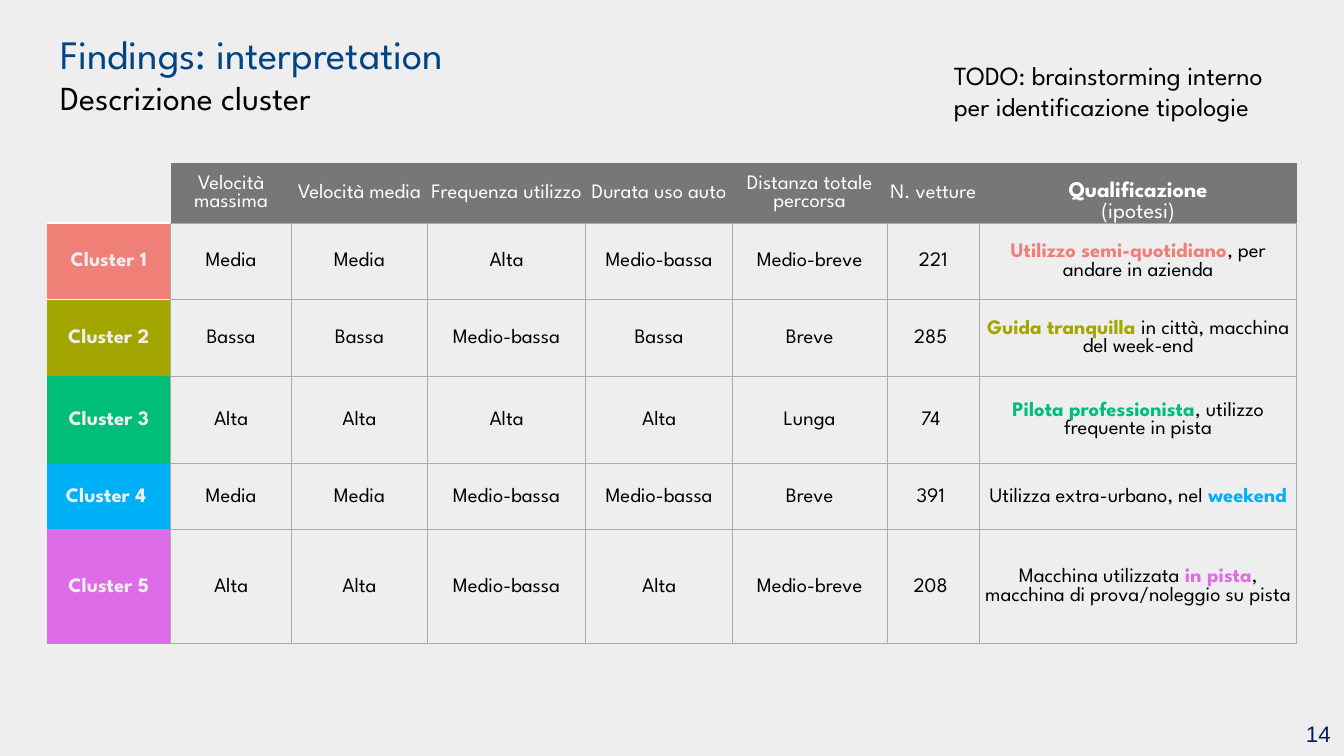
from pptx import Presentation
from pptx.dml.color import RGBColor
from pptx.enum.text import MSO_ANCHOR, PP_ALIGN
from pptx.oxml.ns import qn
from pptx.util import Inches, Pt
from lxml import etree

TOP, MIDDLE, BOTTOM = MSO_ANCHOR.TOP, MSO_ANCHOR.MIDDLE, MSO_ANCHOR.BOTTOM
LEFT, CENTER, RIGHT = PP_ALIGN.LEFT, PP_ALIGN.CENTER, PP_ALIGN.RIGHT
BLACK = RGBColor(0x00, 0x00, 0x00)
WHITE = RGBColor(0xFF, 0xFF, 0xFF)
PAPER = RGBColor(0xEE, 0xEE, 0xEE)
HEADER = RGBColor(0x77, 0x77, 0x77)
RULE = RGBColor(0xAE, 0xAA, 0xAA)
BLUE = RGBColor(0x00, 0x44, 0x85)
NAVY = RGBColor(0x00, 0x20, 0x60)
CORAL = RGBColor(0xF0, 0x7F, 0x78)
OLIVE = RGBColor(0xA4, 0xA6, 0x00)
GREEN = RGBColor(0x00, 0xBE, 0x7A)
SKY = RGBColor(0x00, 0xB0, 0xF6)
ORCHID = RGBColor(0xDE, 0x6C, 0xE8)
NO_STYLE = "{2D5ABB26-0587-4C30-8999-92F81FD0307C}"
NBSP = chr(160)

COLS = [0.92, 0.9, 1.01, 1.18, 1.09, 1.15, 0.69, 2.36]
ROWS = [0.45, 0.57, 0.57, 0.65, 0.49, 0.85]
HEADINGS = ["Velocità massima", "Velocità media", "Frequenza utilizzo",
            "Durata uso auto", "Distanza totale percorsa", "N. vetture"]
CLUSTERS = [
    ("Cluster 1", CORAL, ["Media", "Media", "Alta", "Medio-bassa", "Medio-breve", "221"],
     ("", "Utilizzo semi-quotidiano", ", per andare in azienda")),
    ("Cluster 2", OLIVE, ["Bassa", "Bassa", "Medio-bassa", "Bassa", "Breve", "285 "],
     ("", "Guida tranquilla ", "in città, macchina del week-end")),
    ("Cluster 3", GREEN, ["Alta", "Alta", "Alta", "Alta", "Lunga", "74 "],
     ("", "Pilota professionista", ", utilizzo frequente in pista")),
    ("Cluster 4 ", SKY, ["Media", "Media", "Medio-bassa", "Medio-bassa", "Breve", "391 "],
     ("Utilizza extra-urbano, nel ", "weekend", "")),
    ("Cluster 5", ORCHID, ["Alta", "Alta", "Medio-bassa", "Alta", "Medio-breve", "208 "],
     ("Macchina utilizzata ", "in pista", ", macchina di prova/noleggio su pista")),
]


class Deck:
    font = "League Spartan"

    def __init__(self):
        self.prs = Presentation()
        self.prs.slide_width = Inches(10)
        self.prs.slide_height = Inches(10 * 9 / 16)
        self.s = self.prs.slides.add_slide(self.prs.slide_layouts[6])
        self.s.background.fill.solid()
        self.s.background.fill.fore_color.rgb = PAPER

    def run(self, p, text, size=11, color=BLACK, bold=False, font=None):
        r = p.add_run()
        r.text = text
        r.font.name = font or self.font
        r.font.size = Pt(size)
        r.font.bold = bold
        r.font.color.rgb = color

    def text(self, x, y, w, h, anchor=TOP, align=LEFT):
        tf = self.s.shapes.add_textbox(Inches(x), Inches(y), Inches(w), Inches(h)).text_frame
        tf.word_wrap = True
        tf.vertical_anchor = anchor
        p = tf.paragraphs[0]
        p.alignment = align
        return p

    def table(self, x, y, cols, rows):
        tbl = self.s.shapes.add_table(len(rows), len(cols), Inches(x), Inches(y),
                                      Inches(sum(cols)), Inches(sum(rows))).table
        tbl.first_row = tbl.horz_banding = False
        tbl._tbl.tblPr.find(qn("a:tableStyleId")).text = NO_STYLE
        for col, w in zip(tbl.columns, cols):
            col.width = Inches(w)
        for row, h in zip(tbl.rows, rows):
            row.height = Inches(h)
        return tbl

    def border(self, cell, side, color, width):
        ln = etree.SubElement(cell._tc.get_or_add_tcPr(), qn("a:ln" + side), w=str(Pt(width)))
        fill = etree.SubElement(ln, qn("a:solidFill"))
        etree.SubElement(fill, qn("a:srgbClr"), val=str(color))

    def cell(self, cell, fill, borders, anchor=MIDDLE):
        for side, (color, width) in borders.items():
            self.border(cell, side, color, width)
        cell.fill.solid()
        cell.fill.fore_color.rgb = fill
        cell.margin_left = cell.margin_right = cell.margin_top = Inches(0.01)
        cell.margin_bottom = 0
        cell.vertical_anchor = anchor
        p = cell.text_frame.paragraphs[0]
        p.alignment = CENTER
        return p


def main():
    deck = Deck()
    p = deck.text(0.35, 0.33, 5.64, 0.43, MIDDLE)
    deck.run(p, "Findings: interpretation ", 21.6, BLUE)
    p.add_line_break()
    deck.run(p, "Descrizione cluster", 18)

    thin, white = (RULE, 0.5), (WHITE, 1)
    grid = {side: thin for side in "LRTB"}
    tbl = deck.table(0.35, 1.21, COLS, ROWS)
    deck.cell(tbl.cell(0, 0), PAPER, {"B": white})
    for c, heading in enumerate(HEADINGS, 1):
        deck.run(deck.cell(tbl.cell(0, c), HEADER, {"B": thin}), heading, color=WHITE)
    last = tbl.cell(0, len(COLS) - 1)
    deck.run(deck.cell(last, HEADER, {"B": thin}, BOTTOM), "Qualificazione", 12, WHITE, True)
    p = last.text_frame.add_paragraph()
    p.alignment = CENTER
    deck.run(p, "(ipotesi)", 12, WHITE)

    for i, (name, color, values, (before, key, after)) in enumerate(CLUSTERS, 1):
        edges = {"R": thin, "T": white} if i == 1 else {"R": thin}
        deck.run(deck.cell(tbl.cell(i, 0), color, edges), name, color=PAPER, bold=True)
        for c, value in enumerate(values, 1):
            deck.run(deck.cell(tbl.cell(i, c), PAPER, grid), value)
        p = deck.cell(tbl.cell(i, len(COLS) - 1), PAPER, grid)
        for text, tint, bold in ((before, BLACK, False), (key, color, True), (after, BLACK, False)):
            if text:
                deck.run(p, text, color=tint, bold=bold)

    p = deck.text(7, 0.39, 3, 0.57)
    todo = NBSP.join(["TODO: brainstorming", "interno per", "identificazione", "tipologie"])
    deck.run(p, todo, 14)
    p = deck.text(9.36, 5.29, 0.64, 0.33, MIDDLE, RIGHT)
    deck.run(p, "14", 12, NAVY, font="Arial")
    deck.prs.save("out.pptx")


if __name__ == "__main__":
    main()
